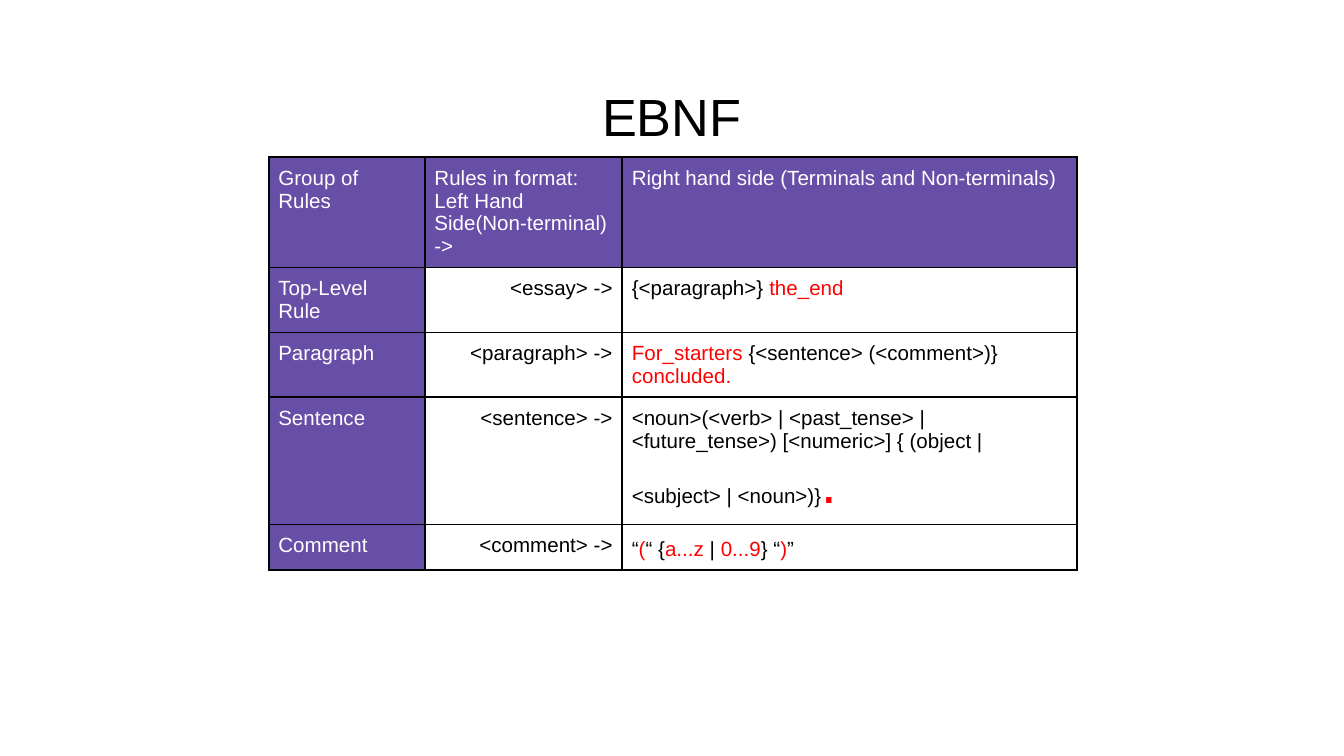
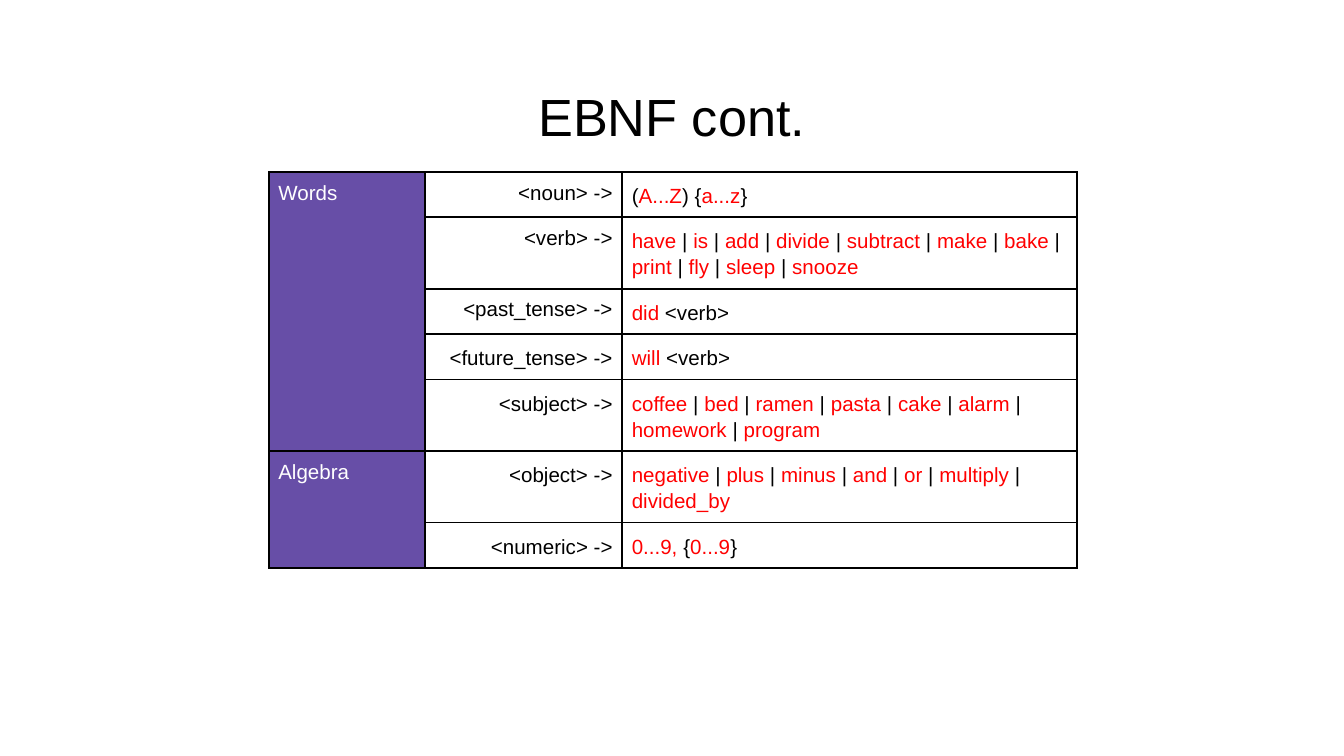
"""Builds two slides that tabulate the EBNF grammar of an essay language."""
from lxml.etree import SubElement
from pptx import Presentation
from pptx.dml.color import RGBColor
from pptx.enum.text import MSO_ANCHOR, MSO_AUTO_SIZE, PP_ALIGN
from pptx.oxml.ns import qn
from pptx.util import Cm, Pt

COLORS = {
    "black": "000000",
    "white": "FFFFFF",
    "purple": "674EA7",
    "terminal": "FF0000",
}
FONT = "Arial"
COLUMN_WIDTHS = (2.95, 3.73, 8.59)
LOOSE = 1.15


def color(name):
    """Return a named colour."""
    return RGBColor.from_string(COLORS[name])


def alternatives(words):
    """Join words as marked terminals separated by bars."""
    return " | ".join(f"`{word}`" for word in words.split())


GRAMMAR_RULES = [
    ("Top-Level Rule", "<essay>", "{<paragraph>} `the_end`", None, None),
    ("Paragraph", "<paragraph>",
     "`For_starters `{<sentence> (<comment>)} `concluded.`", None, None),
    ("Sentence", "<sentence>",
     "<noun>(<verb> | <past_tense> | <future_tense>) [<numeric>] "
     "{ (object | <subject> | <noun>)}`.`", None, None),
    ("Comment", "<comment>", "“`(`“ {`a...z` | `0...9`} “`)`”", None, LOOSE),
]
WORD_RULES = [
    ("Words", "<noun>", "(`A...Z`) {`a...z`}", None, LOOSE),
    ("", "<verb>",
     alternatives("have is add divide subtract make bake print fly sleep snooze"),
     None, LOOSE),
    ("", "<past_tense>", "`did` <verb>", None, LOOSE),
    ("", "<future_tense>", "`will `<verb>", LOOSE, LOOSE),
    ("", "<subject>",
     alternatives("coffee bed ramen pasta cake alarm homework program"), LOOSE, LOOSE),
    ("Algebra", "<object>",
     alternatives("negative plus minus and or multiply divided_by"), LOOSE, LOOSE),
    ("", "<numeric>", "`0...9, `{`0...9`}", LOOSE, LOOSE),
]


def add_title_slide(presentation, title):
    """Add a slide with a centred title."""
    slide = presentation.slides.add_slide(presentation.slide_layouts[5])
    shape = slide.shapes.title
    shape.left, shape.top, shape.width, shape.height = Cm(0.86), Cm(1.24), Cm(23.67), Cm(1.6)
    frame = shape.text_frame
    frame.text = title
    frame.auto_size = MSO_AUTO_SIZE.NONE
    frame.vertical_anchor = MSO_ANCHOR.TOP
    frame.margin_top, frame.margin_bottom = Cm(0.36), Cm(0)
    paragraph = frame.paragraphs[0]
    paragraph.alignment = PP_ALIGN.CENTER
    style_font(paragraph.font, 28, "black")
    return slide


def style_font(font, size, color_name):
    """Set the typeface, size and colour of a font."""
    font.name = FONT
    font.size = Pt(size)
    font.color.rgb = color(color_name)


def add_borders(cell):
    """Draw a thin black line on each side of a cell."""
    properties = cell._tc.get_or_add_tcPr()
    for side in ("lnL", "lnR", "lnT", "lnB"):
        line = SubElement(properties, qn(f"a:{side}"), w=str(Pt(1)))
        fill = SubElement(line, qn("a:solidFill"))
        SubElement(fill, qn("a:srgbClr"), val=COLORS["black"])


def format_cell(cell, filled):
    """Give a cell its borders, margins and fill."""
    add_borders(cell)
    cell.margin_left = cell.margin_right = Cm(0.18)
    cell.margin_top = cell.margin_bottom = Cm(0.18)
    if filled:
        cell.fill.solid()
        cell.fill.fore_color.rgb = color("purple")
    else:
        cell.fill.background()


def write_label(cell, text):
    """Write white text, with line breaks where marked."""
    paragraph = cell.text_frame.paragraphs[0]
    paragraph.text = text
    style_font(paragraph.font, 11, "white")


def write_rule(cell, text, spacing, alignment=PP_ALIGN.LEFT):
    """Write black text with the terminals between backticks in red."""
    paragraph = cell.text_frame.paragraphs[0]
    paragraph.alignment = alignment
    paragraph.line_spacing = spacing
    style_font(paragraph.font, 11, "black")
    for index, piece in enumerate(text.split("`")):
        if piece:
            run = paragraph.add_run()
            run.text = piece
            size = 30 if piece == "." else 11
            style_font(run.font, size, "terminal" if index % 2 else "black")


def add_rule_table(slide, top, row_height, rules, header=()):
    """Add a table of grammar rules, merging the cells of each group."""
    offset = 1 if header else 0
    row_count = len(rules) + offset
    table = slide.shapes.add_table(
        row_count, len(COLUMN_WIDTHS), Cm(5.08), Cm(top),
        Cm(sum(COLUMN_WIDTHS)), Cm(row_height * row_count)).table
    table.first_row = table.horz_banding = False
    for column, width in zip(table.columns, COLUMN_WIDTHS):
        column.width = Cm(width)
    for row_index, row in enumerate(table.rows):
        row.height = Cm(row_height)
        for column_index, cell in enumerate(row.cells):
            format_cell(cell, column_index == 0 or row_index < offset)
    for column_index, text in enumerate(header):
        write_label(table.cell(0, column_index), text)
    for row_index, (group, left, right, left_spacing, right_spacing) in enumerate(rules, offset):
        if group:
            write_label(table.cell(row_index, 0), group)
        write_rule(table.cell(row_index, 1), f"{left} ->", left_spacing, PP_ALIGN.RIGHT)
        write_rule(table.cell(row_index, 2), right, right_spacing)
    starts = [index for index, rule in enumerate(rules, offset) if rule[0]]
    for start, end in zip(starts, starts[1:] + [row_count]):
        if end - start > 1:
            table.cell(start, 0).merge(table.cell(end - 1, 0))


def main():
    """Build and save the presentation."""
    presentation = Presentation()
    presentation.slide_width, presentation.slide_height = Cm(25.4), Cm(14.29)
    header = (
        "Group of Rules",
        "Rules in format:\vLeft Hand Side(Non-terminal) ->",
        "Right hand side (Terminals and Non-terminals)",
    )
    slide = add_title_slide(presentation, "EBNF")
    add_rule_table(slide, 2.97, 0.03, GRAMMAR_RULES, header)
    slide = add_title_slide(presentation, "EBNF cont.")
    add_rule_table(slide, 3.25, 0.74, WORD_RULES)
    presentation.save("out.pptx")


if __name__ == "__main__":
    main()
